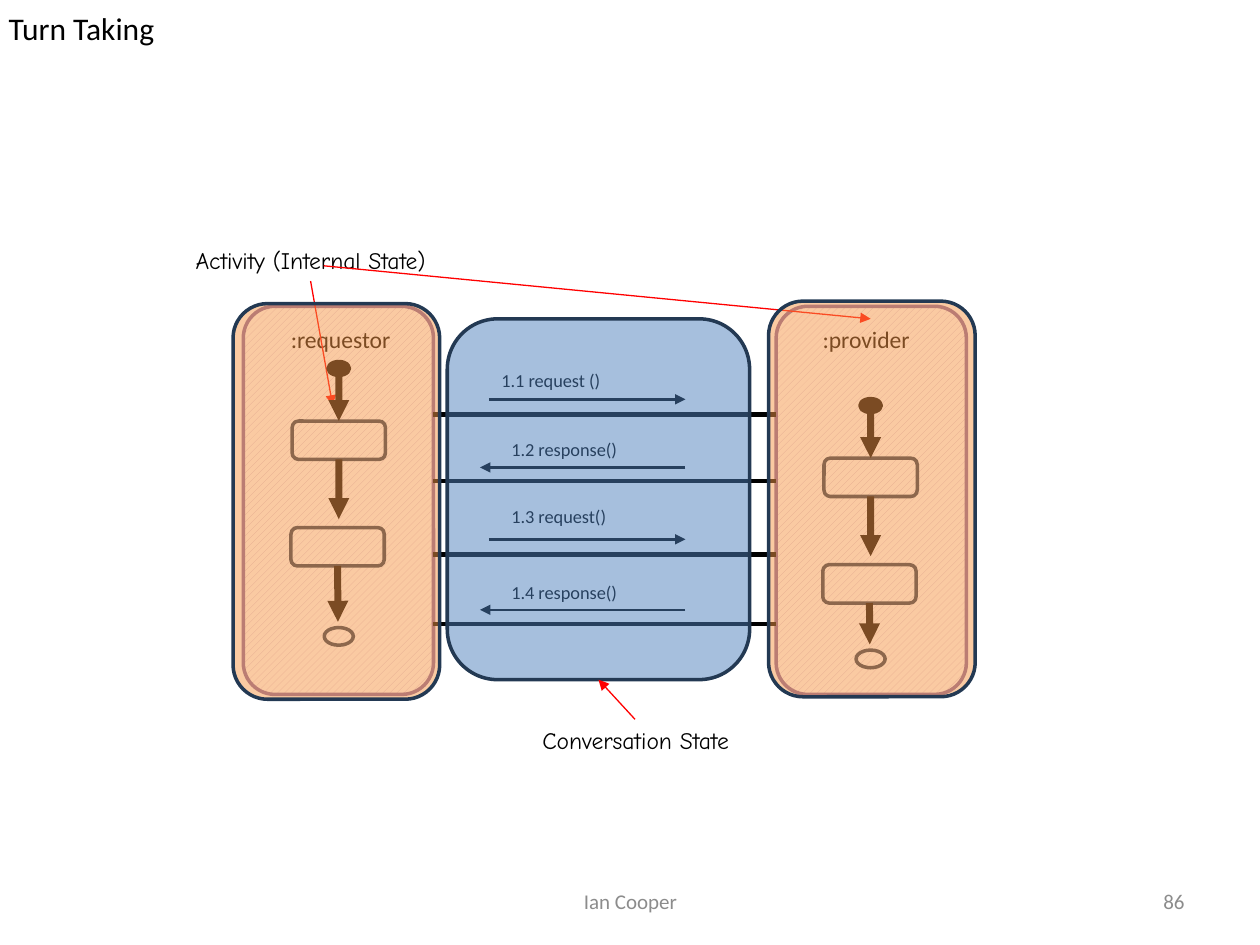
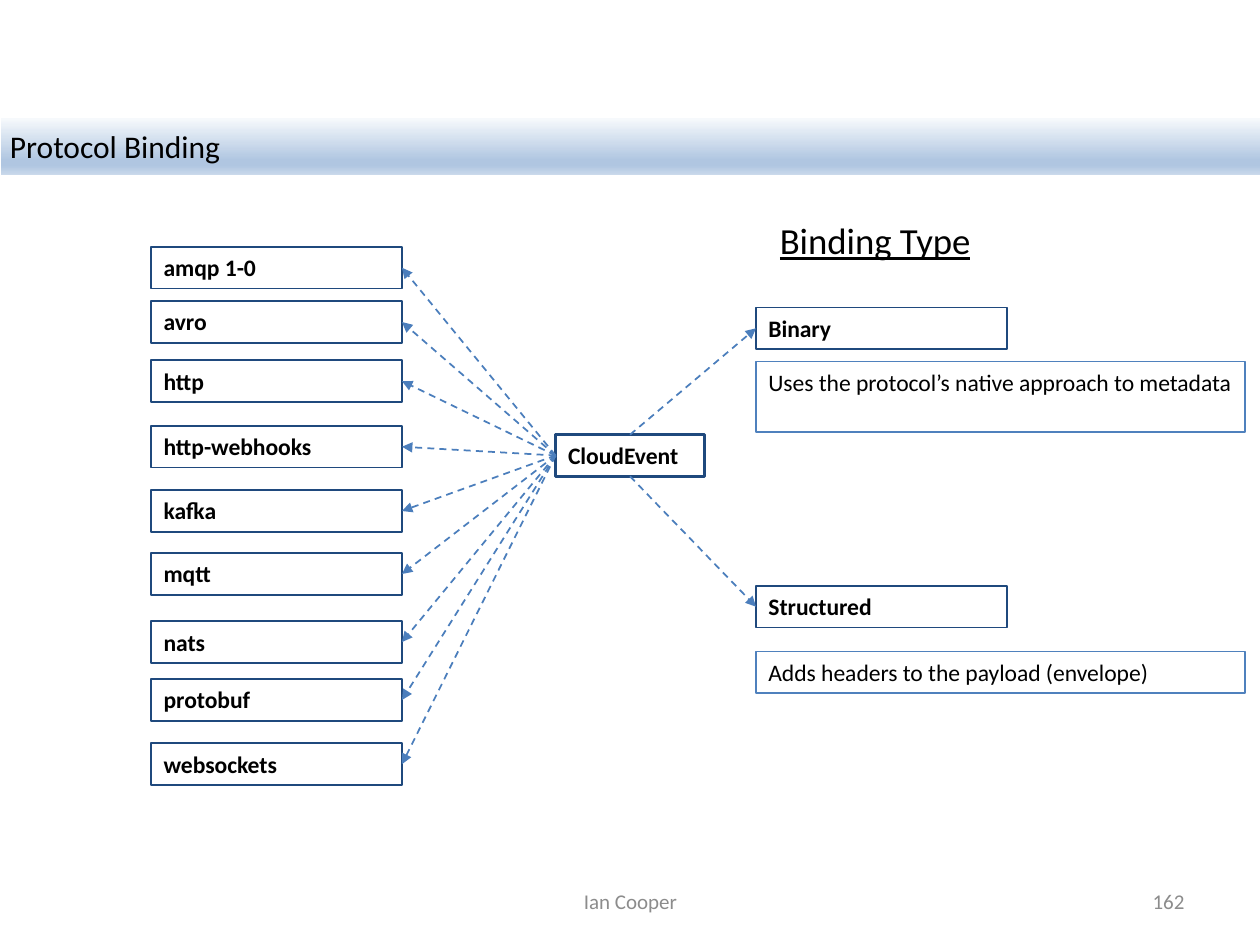
"""Build two slides: a turn-taking conversation and a protocol binding map."""
from dataclasses import dataclass
from typing import NamedTuple, Optional, Union

from lxml import etree
from pptx import Presentation
from pptx import util as u
from pptx.dml.color import RGBColor
from pptx.enum import dml, shapes, text
from pptx.oxml.ns import qn
from pptx.shapes.autoshape import Shape
from pptx.slide import Slide

BODY_FONT, HAND_FONT = "Calibri", "Comic Neue"
BLACK, RED, GREY = "000000", "FF0000", "8C8C8C"
NAVY, DEEP_BLUE, BLUE, LINK_BLUE = "233953", "1F497D", "4F81BD", "4B7EBC"
ORANGE, PURPLE, LILAC, WHITE = "F79646", "8064A2", "CCC1DA", "FFFFFF"
BAND_STOPS = ((0, "F6F9FC"), (74, "B0C6E1"), (83, "B0C6E1"), (100, "CAD9EB"))
LEFT, CENTER, RIGHT = text.PP_ALIGN.LEFT, text.PP_ALIGN.CENTER, text.PP_ALIGN.RIGHT
RECTANGLE = shapes.MSO_SHAPE.RECTANGLE
ROUNDED = shapes.MSO_SHAPE.ROUNDED_RECTANGLE
OVAL = shapes.MSO_SHAPE.OVAL
TOP_SIDE, LEFT_SIDE, BOTTOM_SIDE, RIGHT_SIDE = range(4)


class Box(NamedTuple):
    """A frame in points."""
    left: float
    top: float
    width: float
    height: float


class Point(NamedTuple):
    """A free connector end in points."""
    x: float
    y: float


class Site(NamedTuple):
    """A connector end joined to the side of a shape."""
    shape: Shape
    side: int


@dataclass(frozen=True)
class TextStyle:
    """How a single-run text looks."""
    size: float = 13.5
    font: str = BODY_FONT
    color: str = BLACK
    bold: bool = False
    underline: bool = False
    align: int = LEFT
    anchor: int = text.MSO_ANCHOR.TOP


@dataclass(frozen=True)
class LineStyle:
    """How an outline or connector looks."""
    color: str
    width: float
    arrow: bool = False
    dashed: bool = False


@dataclass(frozen=True)
class Lane:
    """One participant with its activity flow."""
    name: str
    body_left: float
    label: Box
    center: float
    start_top: float
    end_top: float
    overlay: Box


@dataclass(frozen=True)
class Message:
    """One message between the lanes, with the rule beneath it."""
    name: str
    label_left: float
    label_top: float
    arrow_y: float
    rule_y: float
    is_request: bool


LABEL = TextStyle()
BOLD_LABEL = TextStyle(bold=True)
NOTE = TextStyle(font=HAND_FONT, align=CENTER)
NAVY_LINE = LineStyle(NAVY, 2)
FLOW = LineStyle(BLACK, 4, arrow=True)
POINTER = LineStyle(RED, 0.75, arrow=True)
BINDING = LineStyle(LINK_BLUE, 1, arrow=True, dashed=True)

LANES = (
    Lane(":requestor", 139, Box(159.1, 182.2, 77, 23.8), 193.6, 206.6, 358.6,
         Box(133.2, 173.5, 118.1, 226.1)),
    Lane(":provider", 443.5, Box(463, 182.2, 69.1, 23.8), 497.5, 227.8, 371.5,
         Box(439.2, 172.1, 118.1, 226.1)),
)
MESSAGES = (
    Message("1.1 request ()", 279.4, 207.4, 228.2, 236.9, True),
    Message("1.2 response()", 285.1, 247, 267.1, 275, False),
    Message("1.3 request()", 285.1, 285.1, 308.2, 316.8, True),
    Message("1.4 response()", 285.1, 328.3, 348.5, 356.4, False),
)
PROTOCOLS = {
    "amqp 1-0": 141.1, "avro": 172.1, "http": 205.9, "http-webhooks": 243.4,
    "kafka": 280.1, "mqtt": 316.1, "nats": 355, "protobuf": 388.1, "websockets": 424.8,
}
CAPTION_WIDTH, CAPTION_HEIGHT = 143.3, 23.8


def rgb(color: str) -> RGBColor:
    """Turn a hex string into a colour."""
    return RGBColor.from_string(color)


def frame(box: Box) -> tuple:
    """Give the four lengths of a box."""
    return tuple(u.Pt(length) for length in box)


def write(shape: Shape, words: str, style: TextStyle) -> None:
    """Fill a shape with one styled run."""
    text_frame = shape.text_frame
    text_frame.word_wrap = True
    text_frame.auto_size = text.MSO_AUTO_SIZE.NONE
    text_frame.vertical_anchor = style.anchor
    paragraph = text_frame.paragraphs[0]
    paragraph.alignment = style.align
    run = paragraph.add_run()
    run.text = words
    run.font.name = style.font
    run.font.size = u.Pt(style.size)
    run.font.bold = style.bold
    run.font.underline = style.underline
    run.font.color.rgb = rgb(style.color)


def add_label(slide: Slide, box: Box, words: str, style: TextStyle = LABEL) -> Shape:
    """Add a text box."""
    shape = slide.shapes.add_textbox(*frame(box))
    write(shape, words, style)
    return shape


def add_box(slide: Slide, kind: int, box: Box, line: LineStyle,
            fill: Optional[str] = None, opacity: int = 100) -> Shape:
    """Add a preset shape with an outline and an optional fill."""
    shape = slide.shapes.add_shape(kind, *frame(box))
    shape.shadow.inherit = False
    shape.line.color.rgb = rgb(line.color)
    shape.line.width = u.Pt(line.width)
    if fill is None:
        shape.fill.background()
        return shape
    shape.fill.solid()
    shape.fill.fore_color.rgb = rgb(fill)
    if opacity < 100:
        color = shape.fill._xPr.find(f".//{qn('a:srgbClr')}")
        etree.SubElement(color, qn("a:alpha"), val=str(opacity * 1000))
    return shape


def add_caption(slide: Slide, box: Box, words: str, line: LineStyle,
                style: TextStyle = BOLD_LABEL) -> Shape:
    """Add an outlined rectangle with text."""
    shape = add_box(slide, RECTANGLE, box, line)
    write(shape, words, style)
    return shape


def connect(slide: Slide, start: Union[Point, Site], end: Union[Point, Site],
            style: LineStyle) -> None:
    """Draw a straight connector between points or shape sides."""
    ends = [item if isinstance(item, Point) else Point(0, 0) for item in (start, end)]
    connector = slide.shapes.add_connector(
        shapes.MSO_CONNECTOR.STRAIGHT, *(u.Pt(value) for point in ends for value in point))
    if isinstance(start, Site):
        connector.begin_connect(*start)
    if isinstance(end, Site):
        connector.end_connect(*end)
    line = connector.line
    line.color.rgb = rgb(style.color)
    line.width = u.Pt(style.width)
    if style.dashed:
        line.dash_style = dml.MSO_LINE.DASH
    if style.arrow:
        etree.SubElement(line._get_or_add_ln(), qn("a:tailEnd"), type="triangle")
    etree.SubElement(connector._element.spPr, qn("a:effectLst"))


def start_slide(presentation: Presentation, title: str, title_box: Box, number: str) -> Slide:
    """Add a slide with its title, author and number."""
    slide = presentation.slides.add_slide(presentation.slide_layouts[5])
    shape = slide.shapes.title
    shape.left, shape.top, shape.width, shape.height = frame(title_box)
    write(shape, title, TextStyle(size=18))
    text_frame = shape.text_frame
    text_frame.margin_left = text_frame.margin_right = u.Pt(5)
    text_frame.margin_top = text_frame.margin_bottom = u.Pt(5)
    for box, words, align in ((Box(246.2, 500.4, 228.2, 28.8), "Ian Cooper", CENTER),
                              (Box(516.2, 500.4, 167.8, 28.8), number, RIGHT)):
        style = TextStyle(12, color=GREY, align=align, anchor=text.MSO_ANCHOR.MIDDLE)
        add_label(slide, box, words, style)
    return slide


def fill_band(shape: Shape) -> None:
    """Give a shape the vertical blue gradient."""
    shape.fill.gradient()
    shape.fill.gradient_angle = 270
    stops = shape._element.spPr.find(f".//{qn('a:gsLst')}")
    for stop in list(stops):
        stops.remove(stop)
    for position, color in BAND_STOPS:
        stop = etree.SubElement(stops, qn("a:gs"), pos=str(position * 1000))
        etree.SubElement(stop, qn("a:srgbClr"), val=color)


def add_lane_body(slide: Slide, lane: Lane) -> None:
    """Draw the hatched body of a lane."""
    body = add_box(slide, ROUNDED, Box(lane.body_left, 175, 108.7, 221.8), LineStyle(PURPLE, 2))
    body.fill.patterned()
    body.fill.pattern = dml.MSO_PATTERN.WIDE_UPWARD_DIAGONAL
    body.fill.fore_color.rgb = rgb(LILAC)
    body.fill.back_color.rgb = rgb(WHITE)


def add_flow(slide: Slide, lane: Lane) -> None:
    """Draw the start, two steps and end of a lane's activity."""
    center, top = lane.center, lane.start_top
    add_box(slide, OVAL, Box(center - 6.1, top, 12.2, 7.9), LineStyle(BLACK, 2), BLACK)
    add_box(slide, OVAL, Box(center - 8.3, lane.end_top, 16.6, 10.1), NAVY_LINE)
    first, second = (add_box(slide, ROUNDED, Box(center - shift, top + drop, 53.3, 21.9), NAVY_LINE)
                     for shift, drop in ((26.6, 34), (27.3, 94.9)))
    connect(slide, Point(center, top + 8), Site(first, TOP_SIDE), FLOW)
    connect(slide, Site(first, BOTTOM_SIDE), Point(center, top + 90), FLOW)
    connect(slide, Site(second, BOTTOM_SIDE), Point(center - 0.5, lane.end_top - 3.3), FLOW)


def add_message(slide: Slide, message: Message) -> None:
    """Draw a message's rule, label and arrow."""
    rule_y, arrow_y = message.rule_y, message.arrow_y
    connect(slide, Point(247.7, rule_y), Point(443.5, rule_y), LineStyle(BLACK, 2.5))
    add_label(slide, Box(message.label_left, message.label_top, 120.2, 20.2),
              message.name, TextStyle(10.5))
    start_x, end_x = (279.4, 391.7) if message.is_request else (391.7, 274.3)
    connect(slide, Point(start_x, arrow_y), Point(end_x, arrow_y),
            LineStyle(BLACK, 1.5, arrow=True))


def build_turn_taking(presentation: Presentation) -> None:
    """Build the conversation between requestor and provider."""
    slide = start_slide(presentation, "Turn Taking", Box(0, 0, 720, 32.4), "86")
    for lane in LANES:
        add_lane_body(slide, lane)
    lane_labels = [add_label(slide, lane.label, lane.name) for lane in LANES]
    for message in MESSAGES:
        add_message(slide, message)
    activity = add_label(slide, Box(31.7, 136.8, 291.6, 23.8), "Activity (Internal State)", NOTE)
    connect(slide, Site(activity, BOTTOM_SIDE), Point(190.1, 231.8), POINTER)
    for lane in LANES:
        add_flow(slide, lane)
    connect(slide, Point(185, 151.9), Site(lane_labels[1], TOP_SIDE), POINTER)
    state = add_box(slide, ROUNDED, Box(255.6, 182.2, 172.8, 206.2), NAVY_LINE, BLUE, 50)
    add_label(slide, Box(217.4, 411.1, 291.6, 23.8), "Conversation State", NOTE)
    connect(slide, Point(362.9, 411.1), Site(state, BOTTOM_SIDE), POINTER)
    for lane in LANES:
        add_box(slide, ROUNDED, lane.overlay, NAVY_LINE, ORANGE, 50)


def build_protocol_binding(presentation: Presentation) -> None:
    """Build the map from an event to its protocols and binding types."""
    slide = start_slide(presentation, "Protocol Binding", Box(0.7, 67.7, 719.3, 32.4), "162")
    fill_band(slide.shapes.title)
    event = add_caption(slide, Box(317.5, 248.4, 85, CAPTION_HEIGHT), "CloudEvent",
                        LineStyle(DEEP_BLUE, 2))
    add_label(slide, Box(438.5, 121, 128.2, 32.4), "Binding Type",
              TextStyle(21, underline=True))
    thin = LineStyle(DEEP_BLUE, 1)
    for name, top, side, meaning, meaning_top, meaning_height in (
            ("Binary", 175.7, TOP_SIDE, "Uses the protocol’s native approach to metadata",
             206.6, 40.3),
            ("Structured", 334.8, BOTTOM_SIDE, "Adds headers to the payload (envelope)",
             372.2, CAPTION_HEIGHT)):
        binding = add_caption(slide, Box(432, top, CAPTION_WIDTH, CAPTION_HEIGHT), name, thin)
        connect(slide, Site(event, side), Site(binding, LEFT_SIDE), BINDING)
        add_caption(slide, Box(432, meaning_top, 279.4, meaning_height), meaning,
                    LineStyle(BLUE, 0.75), LABEL)
    for name, top in PROTOCOLS.items():
        protocol = add_caption(slide, Box(86.4, top, CAPTION_WIDTH, CAPTION_HEIGHT), name, thin)
        connect(slide, Site(event, LEFT_SIDE), Site(protocol, RIGHT_SIDE), BINDING)


def main() -> None:
    """Create and save the presentation."""
    presentation = Presentation()
    presentation.slide_width, presentation.slide_height = u.Pt(720), u.Pt(540)
    build_turn_taking(presentation)
    build_protocol_binding(presentation)
    presentation.save("out.pptx")


if __name__ == "__main__":
    main()
